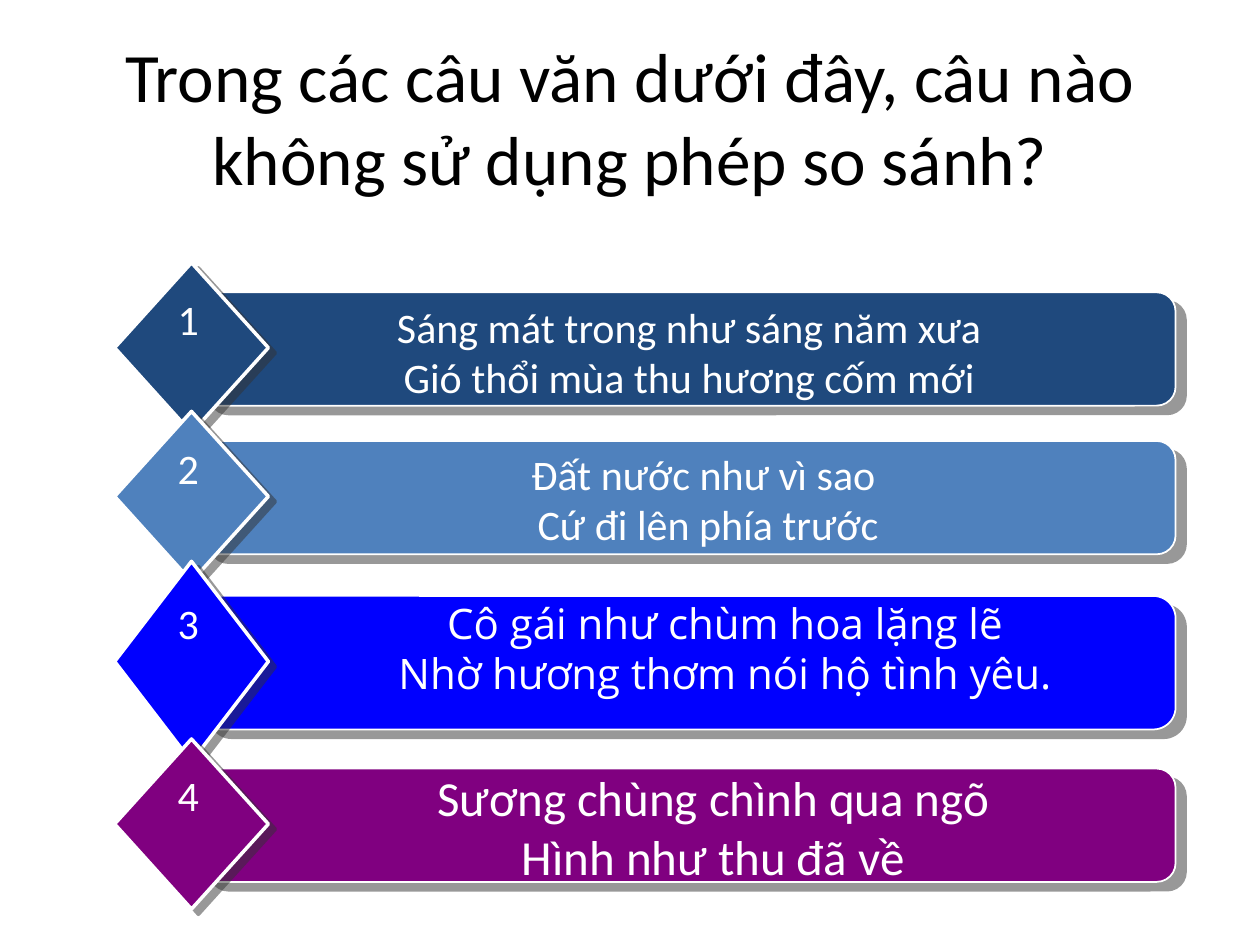
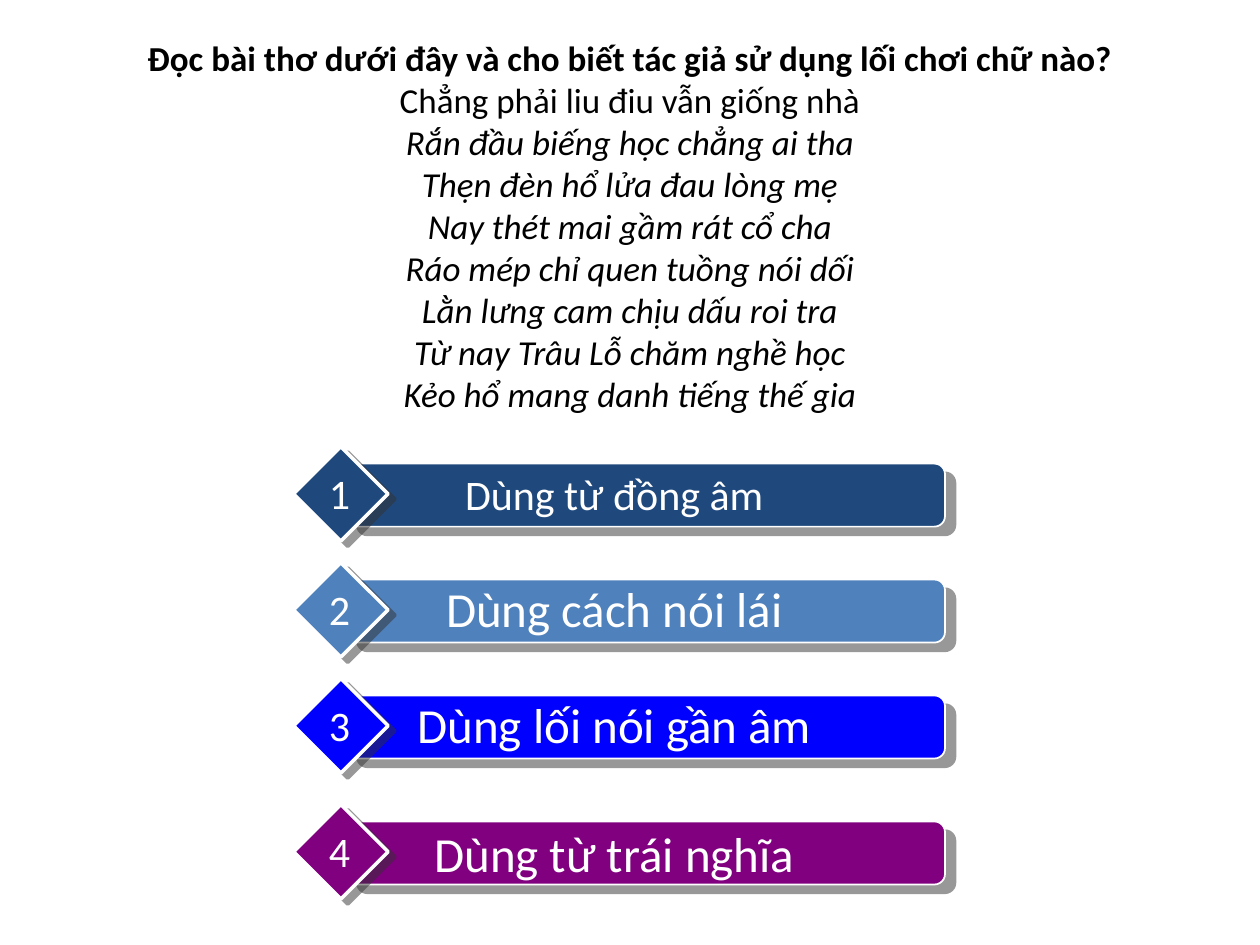
import copy

from lxml import etree
from pptx import Presentation
from pptx import util as u
from pptx.dml.color import RGBColor
from pptx.enum import shapes, text
from pptx.oxml import ns

COLUMNS, ROWS = 100, 75
TITLE_ONLY = 5
BLACK, WHITE, SHADOW = "000000", "FFFFFF", "333333"
ANSWER_COLOURS = ["1F497D", "4F81BD", "0000FF", "800080"]
BAR, DIAMOND = shapes.MSO_SHAPE.ROUNDED_RECTANGLE, shapes.MSO_SHAPE.DIAMOND


def colour(code):
    return RGBColor.from_string(code)


def write(box, words, size=24, font="Calibri", ink=WHITE, bold=False, italic=False):
    """Append words to the box: a newline starts a paragraph, a \\v breaks a line."""
    frame = box.text_frame
    for number, block in enumerate(words.split("\n")):
        para = frame.add_paragraph() if number else frame.paragraphs[-1]
        para.alignment = text.PP_ALIGN.CENTER
        span = None
        for line in block.split("\v"):
            if span is not None:
                para.add_line_break()
                # The break takes the format of its line, so that its height agrees.
                para._p[-1].append(copy.deepcopy(span._r.rPr))
            if not line:
                continue
            span = para.add_run()
            span.text = line
            span.font.name, span.font.size = font, u.Pt(size)
            span.font.bold, span.font.italic = bold, italic
            span.font.color.rgb = colour(ink)


def cast_shadow(shape, distance, angle):
    shape.shadow.inherit = False
    effects = shape._element.spPr.find(ns.qn("a:effectLst"))
    shadow = etree.SubElement(effects, ns.qn("a:outerShdw"), blurRad="0",
                              dist=str(u.Pt(distance)), dir=str(angle * 60000),
                              algn="ctr", rotWithShape="0")
    tint = etree.SubElement(shadow, ns.qn("a:srgbClr"), val=SHADOW)
    etree.SubElement(tint, ns.qn("a:alpha"), val="50000")


class Quiz:
    """Builds question pages; lengths are columns and rows of the grid."""

    def __init__(self):
        self.deck = Presentation()
        self.deck.slide_width, self.deck.slide_height = u.Inches(10), u.Inches(7.5)
        self.page = None

    def place(self, left, top, width, height):
        column = self.deck.slide_width / COLUMNS
        row = self.deck.slide_height / ROWS
        return [round(n) for n in (left * column, top * row, width * column, height * row)]

    def question(self, height, size, *spans):
        """Start a page; each span is its words and their format."""
        self.page = self.deck.slides.add_slide(self.deck.slide_layouts[TITLE_ONLY])
        title = self.page.shapes.title
        title.left, title.top, title.width, title.height = self.place(5, 3, 90, height)
        title.text_frame.auto_size = text.MSO_AUTO_SIZE.NONE
        title.text_frame.vertical_anchor = text.MSO_ANCHOR.MIDDLE
        for words, form in spans:
            write(title, words, size=size, ink=BLACK, **form)

    def panel(self, group, kind, area, fill, line, distance, angle):
        shape = group.shapes.add_shape(kind, *self.place(*area))
        shape.fill.solid()
        shape.fill.fore_color.rgb = colour(fill)
        shape.line.color.rgb = colour(WHITE)
        shape.line.width = u.Pt(line)
        cast_shadow(shape, distance, angle)

    def label(self, group, words, area, wrap=True, **form):
        box = group.shapes.add_textbox(*self.place(*area))
        box.text_frame.word_wrap = wrap
        box.text_frame.auto_size = text.MSO_AUTO_SIZE.SHAPE_TO_FIT_TEXT
        write(box, words, **form)

    def answers(self, items, bar, diamond, number, lift):
        """Draw numbered bars; bar, diamond and number are (left, width)."""
        for index, (top, height, words, area, form) in enumerate(items):
            group = self.page.shapes.add_group_shape()
            fill = ANSWER_COLOURS[index]
            self.panel(group, BAR, (bar[0], top, bar[1], height), fill, 1, 7.8, 40)
            self.panel(group, DIAMOND, (diamond[0], top - height / 4 - 0.1,
                                        diamond[1], height * 1.5), fill, 2, 5, 37)
            self.label(group, words, area, **form)
            self.label(group, str(index + 1), (number[0], top - lift, number[1], height),
                       wrap=False)


def main():
    quiz = Quiz()
    large = {"size": 28}

    quiz.question(12.5, 39.6, (
        "Trong các câu văn dưới đây, câu nào không sử dụng phép so sánh?", {}))
    verses = [
        (23.2, 9, "Sáng mát trong như sáng năm xưa\nGió thổi mùa thu hương cốm mới",
         (18.4, 23.4, 72.6, 9.1), {}),
        (35, 9, "Đất nước như vì sao \nCứ đi lên phía trước",
         (19.9, 35.1, 72.6, 9.1), {}),
        (47.3, 10.6, "Cô gái như chùm hoa lặng lẽ\vNhờ hương thơm nói hộ tình yêu.",
         (21.7, 46.9, 71.7, 9.1), {"font": "Open Sans"}),
        (61, 9, "Sương chùng chình qua ngõ\nHình như thu đã về",
         (20.7, 60.4, 71.8, 10.4), large),
    ]
    quiz.answers(verses, bar=(15.8, 77.5), diamond=(9.1, 12.2), number=(11.8, 6.3), lift=0.4)

    poem = [
        "Rắn đầu biếng học chẳng ai tha",
        "Thẹn đèn hổ lửa đau lòng mẹ",
        "Nay thét mai gầm rát cổ cha",
        "Ráo mép chỉ quen tuồng nói dối",
        "Lằn lưng cam chịu dấu roi tra",
        "Từ nay Trâu Lỗ chăm nghề học",
        "Kẻo hổ mang danh tiếng thế gia",
    ]
    quiz.question(
        29.8, 20,
        ("Đọc bài thơ dưới đây và cho biết tác giả sử dụng lối chơi chữ nào?\v", {"bold": True}),
        ("Chẳng phải liu điu vẫn giống nhà\v", {}),
        ("\v".join(poem), {"italic": True}))
    choices = [
        (36.8, "Dùng từ đồng âm", 36.7, 5.1, {}),
        (46, "Dùng cách nói lái", 45.4, 5.7, large),
        (55.2, "Dùng lối nói gần âm", 54.6, 5.7, large),
        (65.2, "Dùng từ trái nghĩa", 64.9, 5.7, large),
    ]
    quiz.answers([(top, 5, words, (30, label_top, 37.5, height), form)
                  for top, words, label_top, height, form in choices],
                 bar=(27.5, 47.5), diamond=(23.3, 7.5), number=(25, 3.9), lift=0.2)

    quiz.deck.save("out.pptx")


if __name__ == "__main__":
    main()
